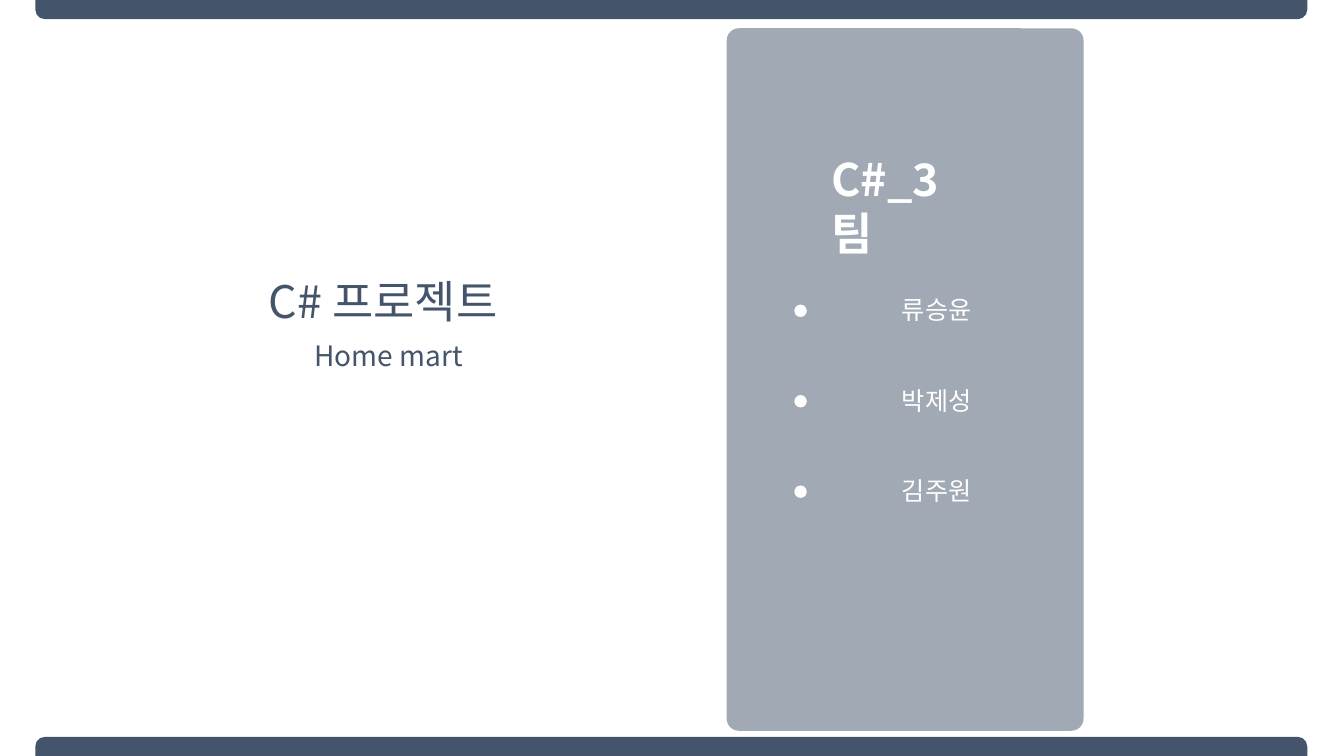
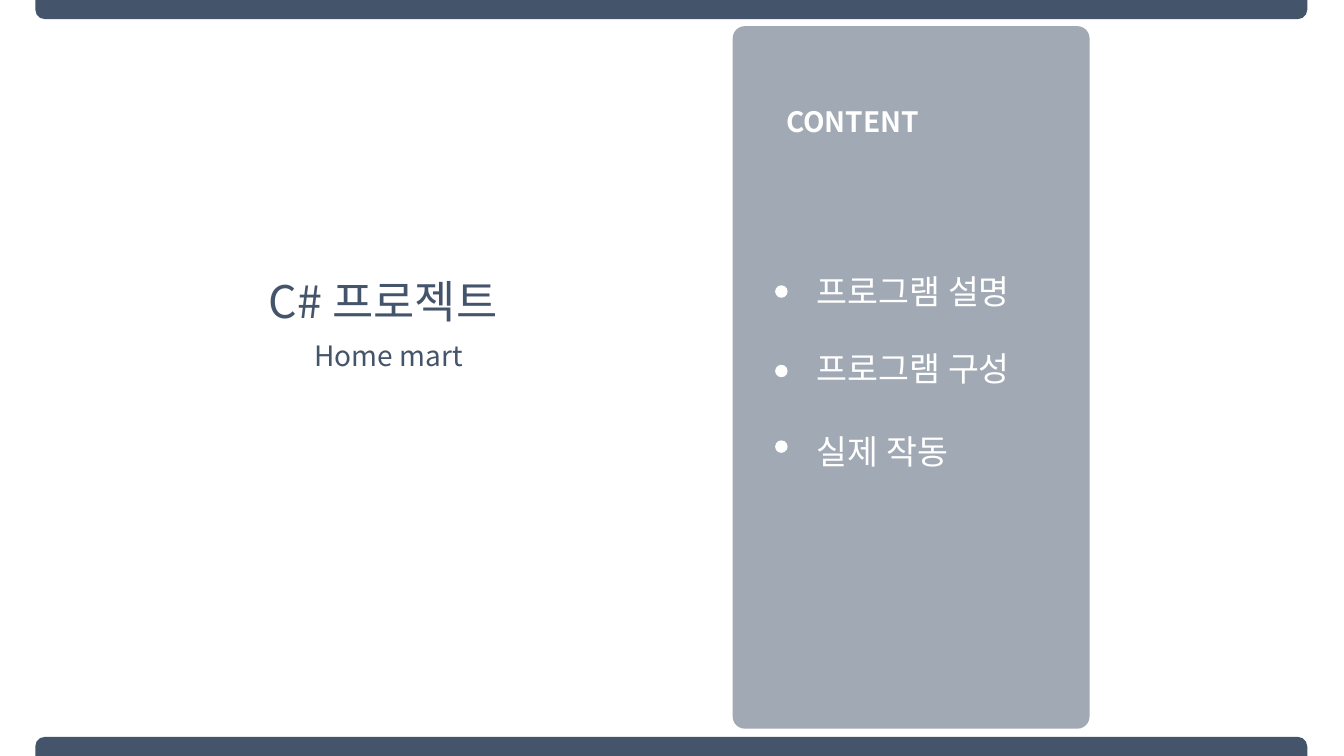
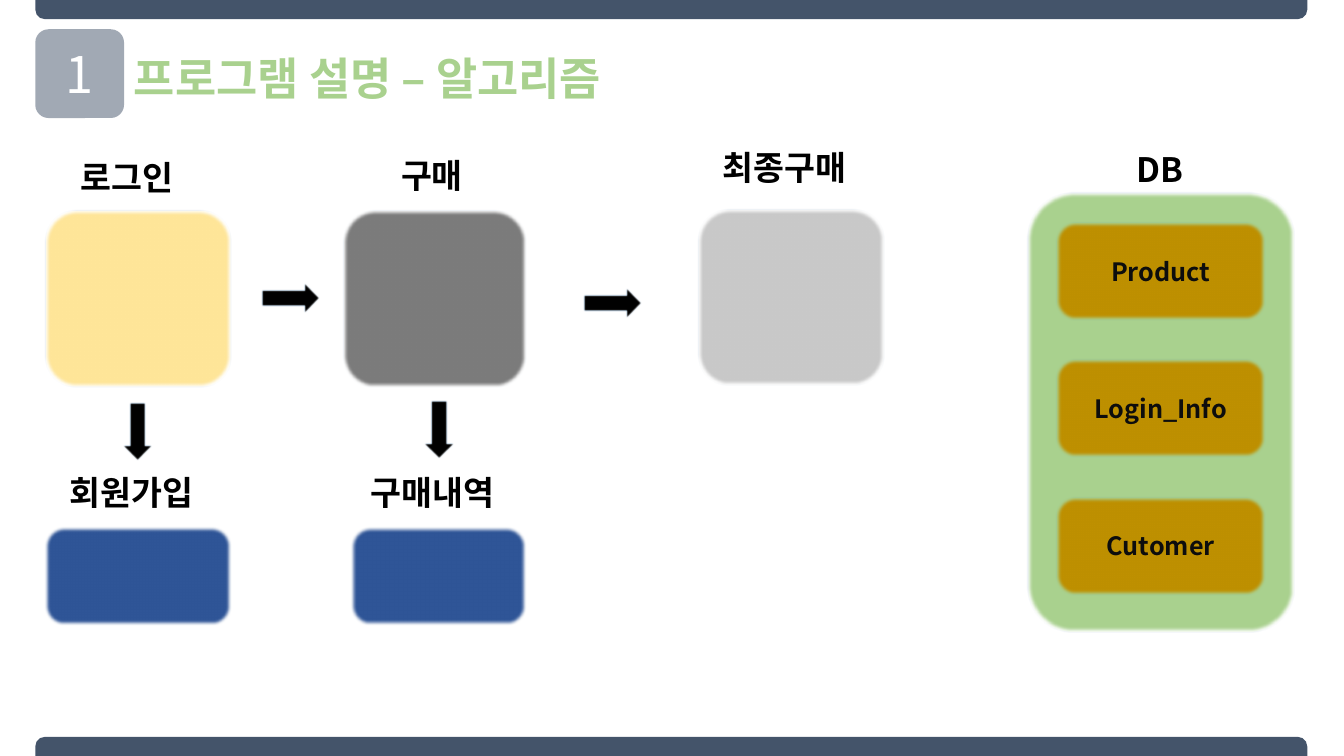
from lxml import etree
from pptx import Presentation
from pptx.dml.color import RGBColor
from pptx.enum import shapes, text
from pptx.oxml.ns import qn
from pptx.util import Pt

COLORS = {
    "white": "FFFFFF", "navy": "44546A", "green": "A9D18E", "yellow": "FFE699",
    "gray": "7C7C7C", "silver": "C9C9C9", "blue": "2F5597", "gold": "BF9000",
    "edge": "43739E", "black": "000000", "ink": "0D0D0D",
}
FONT = "Noto Sans CJK KR"
WIDTH, HEIGHT = 960, 540
BAR = (25.2, 908.6, 13.7)
SHAPE = shapes.MSO_SHAPE


class SlideBuilder:
    """Holds the deck, its style and the current page."""

    def __init__(self):
        """Start an empty widescreen deck."""
        self.deck = Presentation()
        self.deck.slide_width, self.deck.slide_height = Pt(WIDTH), Pt(HEIGHT)
        self.page = None

    def new_page(self):
        """Add a blank page with the top and bottom bars."""
        self.page = self.deck.slides.add_slide(self.deck.slide_layouts[6])
        left, width, height = BAR
        for top, turn in ((0, 180), (HEIGHT - height, 0)):
            bar = self.shape(SHAPE.ROUND_2_SAME_RECTANGLE,
                             (left, top, width, height), "navy", corner=0.5)
            bar.rotation = turn

    def shape(self, kind, area, color, corner=None, alpha=None, soft=None):
        """Draw a filled preset shape; soft ones also get a thin edge line."""
        box = self.page.shapes.add_shape(kind, *map(Pt, area))
        box.shadow.inherit = False
        box.fill.solid()
        box.fill.fore_color.rgb = RGBColor.from_string(COLORS[color])
        if corner is not None:
            box.adjustments[0] = corner
        if alpha:
            fill_color = box.element.spPr.find(qn("a:solidFill"))[0]
            etree.SubElement(fill_color, qn("a:alpha"), val=str(alpha * 1000))
        if soft:
            box.line.width = Pt(1)
            box.line.color.rgb = RGBColor.from_string(COLORS["edge"])
            effects = box.element.spPr.find(qn("a:effectLst"))
            etree.SubElement(effects, qn("a:softEdge"), rad=str(int(Pt(soft))))
        else:
            box.line.fill.background()
        return box

    def put_text(self, box, words, size, color, bold=False, align=None, font=FONT):
        """Put one styled line of words into a box."""
        para = box.text_frame.paragraphs[0]
        para.alignment = align
        span = para.add_run()
        span.text = words
        for name, value in {"size": Pt(size), "bold": bold, "name": font}.items():
            setattr(span.font, name, value)
        span.font.color.rgb = RGBColor.from_string(COLORS[color])
        latin = para.runs[0]._r.rPr.find(qn("a:latin"))
        latin.addnext(etree.Element(qn("a:ea"), typeface=font))

    def label(self, area, words, size, color, wrap=False, **style):
        """Add a text box."""
        box = self.page.shapes.add_textbox(*map(Pt, area))
        box.text_frame.word_wrap = wrap
        self.put_text(box, words, size, color, **style)

    def centered(self, box, words, size, color, **style):
        """Set words in the middle of a shape."""
        box.text_frame.vertical_anchor = text.MSO_ANCHOR.MIDDLE
        self.put_text(box, words, size, color, align=text.PP_ALIGN.CENTER, **style)

    def panel(self, left, top):
        """Draw the tall translucent panel."""
        self.shape(SHAPE.ROUNDED_RECTANGLE, (left, top, 254.9, 501.8), "navy",
                   corner=0.034, alpha=50)

    def project_title(self):
        """Show the project name and its subtitle."""
        justify = text.PP_ALIGN.JUSTIFY
        self.label((185, 192.2, 249.8, 46), "C# 프로젝트", 32, "navy",
                   wrap=True, align=justify)
        self.label((217.4, 238.3, 217.4, 31.7), "Home mart", 20, "navy",
                   wrap=True, align=justify)

    def bullet(self, left, top):
        """Draw a round white bullet."""
        self.shape(SHAPE.OVAL, (left, top, 8.9, 8.9), "white")

    def block(self, area, color):
        """Draw a soft-edged rounded block."""
        return self.shape(SHAPE.ROUNDED_RECTANGLE, area, color, soft=2.5)

    def arrow(self, left, top, turn=0):
        """Draw a black block arrow, turned clockwise."""
        arrow = self.shape(SHAPE.RIGHT_ARROW, (left, top, 41, 22.3), "black", soft=1)
        arrow.rotation = turn


def cover(show):
    """Cover with the team members."""
    show.new_page()
    show.project_title()
    show.panel(519.1, 20.2)
    show.label((586.8, 105.1, 112, 46), "C#_3팀", 32, "white", wrap=True, bold=True)
    for row, name in enumerate(("류승윤", "박제성", "김주원")):
        top = 207 + 64.6 * row
        show.bullet(567.4, top + 10.6)
        show.label((637.2, top, 69.1, 28.8), name, 18, "white")


def contents(show):
    """Table of contents."""
    show.new_page()
    show.panel(523.4, 18.7)
    show.label((554.4, 71.3, 192.2, 31.7), "CONTENT", 20, "white",
               wrap=True, bold=True, align=text.PP_ALIGN.JUSTIFY)
    show.project_title()
    for words, dot_top, top, width in (
            (" 프로그램 설명", 203.8, 190.1, 177.1),
            (" 프로그램 구성", 260.6, 244.8, 177.1),
            (" 실제 작동", 314.6, 304.6, 128.9)):
        show.bullet(553.7, dot_top)
        show.label((571, top, width, 36), words, 24, "white")


def algorithm(show):
    """Program flow and its database tables."""
    show.new_page()
    badge = show.shape(SHAPE.ROUNDED_RECTANGLE, (25.2, 20.9, 63.4, 63.4), "navy",
                       corner=0.149, alpha=50)
    show.centered(badge, "1", 36, "white", font="Noto Sans CJK SC")
    show.label((88.6, 32.4, 388.1, 46), "프로그램 설명 – 알고리즘", 32, "green", bold=True)

    for area, color in (
            ((32.4, 150.5, 132.5, 126), "yellow"),
            ((244.8, 150.5, 131, 126), "gray"),
            ((499, 149.8, 132.5, 125.3), "silver"),
            ((32.4, 376.6, 132.5, 69.8), "blue"),
            ((250.6, 376.6, 125.3, 69.8), "blue"),
            ((733.7, 137.5, 190.8, 313.9), "green")):
        show.block(area, color)

    for words, left, top, width in (
            ("로그인", 50.4, 108.7, 90), ("구매", 279.4, 107.3, 63.4),
            ("최종구매", 509, 101.5, 111.6), ("DB", 805, 103, 48.2),
            ("회원가입", 42.5, 333.4, 111.6), ("구매내역", 257.8, 333.4, 111.6)):
        show.label((left, top, width, 36), words, 24, "black", bold=True)

    for left, top, turn in ((187.2, 201.6, 0), (417.6, 205.2, 0),
                            (77.8, 297.4, 90), (293, 295.9, 90)):
        show.arrow(left, top, turn)

    for row, table_name in enumerate(("Product", "Login_Info", "Cutomer")):
        block = show.block((754.6, 158.8 + 98.1 * row, 149, 69.8), "gold")
        show.centered(block, table_name, 18, "ink", bold=True)


def main():
    """Build and save the deck."""
    show = SlideBuilder()
    for build in (cover, contents, algorithm):
        build(show)
    show.deck.save("out.pptx")


main()
